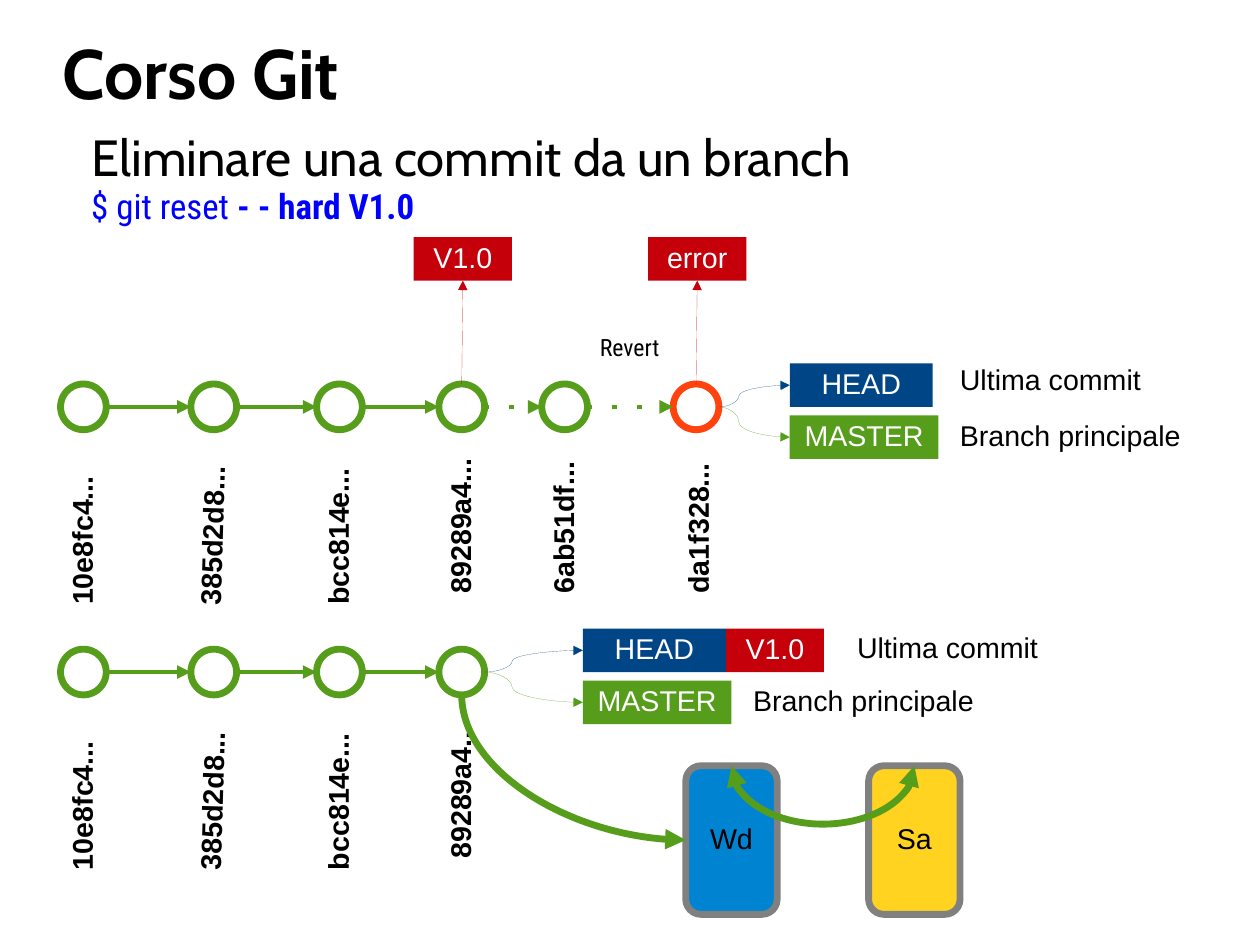
from lxml.etree import SubElement
from pptx import Presentation
from pptx.dml.color import RGBColor
from pptx.enum.shapes import MSO_CONNECTOR, MSO_SHAPE
from pptx.enum.text import MSO_ANCHOR, MSO_AUTO_SIZE, PP_ALIGN
from pptx.oxml.ns import qn
from pptx.util import Cm, Inches, Pt

COLORS = {"green": "579D1C", "orange": "FF420E", "red": "C5000B", "navy": "004586",
          "blue": "0084D1", "yellow": "FFD320", "gray": "808080", "command": "0000FF",
          "black": "000000", "white": "FFFFFF"}
COMMITS = [("10e8fc4...", 5.3, 20.3), ("385d2d8...", 16.7, 20.3), ("bcc814e...", 27.7, 20.3),
           ("89289a4...", 38.4, 19.3), ("6ab51df...", 47.4, 19.3), ("da1f328...", 58.9, 19.3)]
NODE = 4
BEFORE, AFTER = 33.6, 56.8
LABEL_H = 3.8
HAIRLINE = 0.01


def grid(*cells):
    """Turn grid columns and rows, a tenth of an inch each, into lengths."""
    return [int(c * Inches(0.1)) for c in cells]


def rgb(name):
    """Look up a colour by name."""
    return RGBColor.from_string(COLORS[name])


def style_run(r, size, color, font="Arial", bold=False):
    """Format one run."""
    r.font.name, r.font.size, r.font.bold = font, Pt(size), bold
    r.font.color.rgb = rgb(color)


def write(p, text, size, color, font="Arial", bold=False, align=PP_ALIGN.LEFT):
    """Fill a paragraph and format its run."""
    p.text = text
    p.alignment, p.line_spacing = align, 0.93
    p.space_before = Pt(0)
    style_run(p.runs[0], size, color, font, bold)


def add_text(s, box, text, size=18, font="Arial", bold=False):
    """Add a wrapping text box in black."""
    sp = s.shapes.add_textbox(*grid(*box))
    sp.text_frame.word_wrap = True
    write(sp.text_frame.paragraphs[0], text, size, "black", font, bold)
    return sp


def add_box(s, kind, box, fill=None, line=None):
    """Add a preset shape with an optional fill and outline."""
    sp = s.shapes.add_shape(kind, *grid(*box))
    sp.shadow.inherit = False
    if fill:
        sp.fill.solid()
        sp.fill.fore_color.rgb = rgb(fill)
    else:
        sp.fill.background()
    if line:
        sp.line.color.rgb, sp.line.width = rgb(line), Pt(4.31)
    else:
        sp.line.fill.background()
    return sp


def add_tag(s, x, y, w, text, fill):
    """Add a coloured label with white centred text."""
    sp = add_box(s, MSO_SHAPE.RECTANGLE, (x, y, w, LABEL_H), fill)
    sp.text_frame.vertical_anchor = MSO_ANCHOR.TOP
    write(sp.text_frame.paragraphs[0], text, 18, "white", align=PP_ALIGN.CENTER)
    return sp


def add_area(s, x, text, fill):
    """Add a rounded storage area."""
    sp = add_box(s, MSO_SHAPE.ROUNDED_RECTANGLE, (x, 67, 8, 13), fill, "gray")
    sp.text_frame.word_wrap = False
    sp.text_frame.vertical_anchor = MSO_ANCHOR.MIDDLE
    write(sp.text_frame.paragraphs[0], text, 18, "black", align=PP_ALIGN.CENTER)
    return sp


def set_heads(sp, *ends):
    """Put triangles on the named line ends, in headEnd, tailEnd order."""
    for end in ends:
        SubElement(sp.line._get_or_add_ln(), qn(f"a:{end}"), type="triangle")


def add_arrow(s, ends, color, width, kind=MSO_CONNECTOR.STRAIGHT, dotted=False, head="tailEnd"):
    """Add a connector with one arrowhead."""
    cxn = s.shapes.add_connector(kind, *grid(*ends))
    cxn.line.color.rgb, cxn.line.width = rgb(color), Pt(width)
    if dotted:
        dash = SubElement(cxn.line._get_or_add_ln(), qn("a:custDash"))
        SubElement(dash, qn("a:ds"), d="100000", sp="440000")
    set_heads(cxn, head)
    SubElement(cxn._element.spPr, qn("a:effectLst"))
    return cxn


def bend(cxn, preset, **adjust):
    """Choose the curve of a connector and its adjustments."""
    geom = cxn._element.spPr.find(qn("a:prstGeom"))
    geom.set("prst", preset)
    for name, value in adjust.items():
        SubElement(geom.find(qn("a:avLst")), qn("a:gd"), name=name, fmla=f"val {value}")


def add_history(s, commits, y):
    """Draw a row of commits with hashes and arrows; return the circles."""
    mid = y + NODE / 2
    nodes = []
    for i, (name, x, drop) in enumerate(commits):
        color = "orange" if i == 5 else "green"
        nodes.append(add_box(s, MSO_SHAPE.OVAL, (x, y, NODE, NODE), line=color))
        shift = 0.3 if i == 5 else 0
        label = add_text(s, (x - 5.5 + shift, y + drop - 9.4, 15, LABEL_H), name, bold=True)
        label.rotation = 271.7 if i == 1 else 270
        if i:
            start = commits[i - 1][1] + NODE
            add_arrow(s, (start, mid, x, mid), "green", 2.89, dotted=i > 3)
    return nodes


def add_refs(s, node_x, x, y, note_x, note_dy):
    """Draw HEAD and MASTER with their pointers and explanations."""
    refs = [("HEAD", 12.5, "navy", -1.8, "Ultima commit", note_x, note_dy),
            ("MASTER", 13, "green", 2.75, "Branch principale", x + 13.9, 2.7)]
    for name, w, color, dy, note, left, text_dy in refs:
        add_tag(s, x, y + dy, w, name, color)
        add_text(s, (left, y + text_dy, 22, LABEL_H), note)
        ends = (node_x + NODE, y + NODE / 2, x, y + dy + LABEL_H / 2)
        cxn = add_arrow(s, ends, color, HAIRLINE, MSO_CONNECTOR.CURVE)
        bend(cxn, "curvedConnector3", adj1=28000)


def add_pinned_tag(s, node_x, text):
    """Draw a red tag above a commit, with its arrow."""
    tag = add_tag(s, node_x - 2.2, 20.75, 8.6, text, "red")
    cxn = add_arrow(s, (node_x + 2, BEFORE, node_x + 2.1, 24.55), "red", HAIRLINE)
    cxn.end_connect(tag, 2)


def add_headings(s):
    """Write the title, the topic and the command."""
    title = s.shapes.title
    title.left, title.top, title.width, title.height = grid(5.5, 3.3, 99.1, 6.8)
    tf = title.text_frame
    tf.margin_left = tf.margin_top = tf.margin_right = tf.margin_bottom = 0
    tf.auto_size, tf.vertical_anchor = MSO_AUTO_SIZE.NONE, MSO_ANCHOR.MIDDLE
    write(tf.paragraphs[0], "Corso Git", 44, "black", "Cabin", True)
    topic = add_text(s, (7, 11, 98, 9.4), "Eliminare una commit da un branch", 32, "Cabin")
    p = topic.text_frame.add_paragraph()
    write(p, "$ git reset", 22, "command", "Roboto Condensed")
    r = p.add_run()
    r.text = " - - hard V1.0"
    style_run(r, 22, "command", "Roboto Condensed", True)


def add_areas(s, node):
    """Draw the two storage areas and the arrows that update them."""
    wd = add_area(s, 60, "Wd", "blue")
    add_area(s, 76, "Sa", "yellow")
    cxn = add_arrow(s, (60, 73.5, 40.4, AFTER + NODE), "green", 4.31, MSO_CONNECTOR.CURVE,
                    head="headEnd")
    bend(cxn, "curvedConnector2")
    cxn.begin_connect(wd, 1)
    SubElement(cxn._element.nvCxnSpPr.cNvCxnSpPr, qn("a:endCxn"), id=str(node.shape_id), idx="4")
    arc = add_box(s, MSO_SHAPE.ARC, (64, 61.9, 16, 10.2), line="green")
    arc.adjustments[0], arc.adjustments[1] = 0, 108
    set_heads(arc, "headEnd", "tailEnd")


def main():
    """Build the slide."""
    prs = Presentation()
    prs.slide_width, prs.slide_height = Cm(28), Cm(21)
    s = prs.slides.add_slide(prs.slide_layouts[5])
    add_headings(s)
    add_history(s, COMMITS, BEFORE)
    add_refs(s, 58.9, 69.1, BEFORE, 83, -2.2)
    add_pinned_tag(s, 38.4, "V1.0")
    add_pinned_tag(s, 58.9, "error")
    add_text(s, (51.5, 28.85, 7.7, 5.6), "Revert", 15, "Roboto Condensed")
    nodes = add_history(s, COMMITS[:4], AFTER)
    add_refs(s, 38.4, 51, AFTER, 74, -1.9)
    add_tag(s, 63.5, AFTER - 1.8, 8.6, "V1.0", "red")
    add_areas(s, nodes[-1])
    prs.save("out.pptx")


if __name__ == "__main__":
    main()
